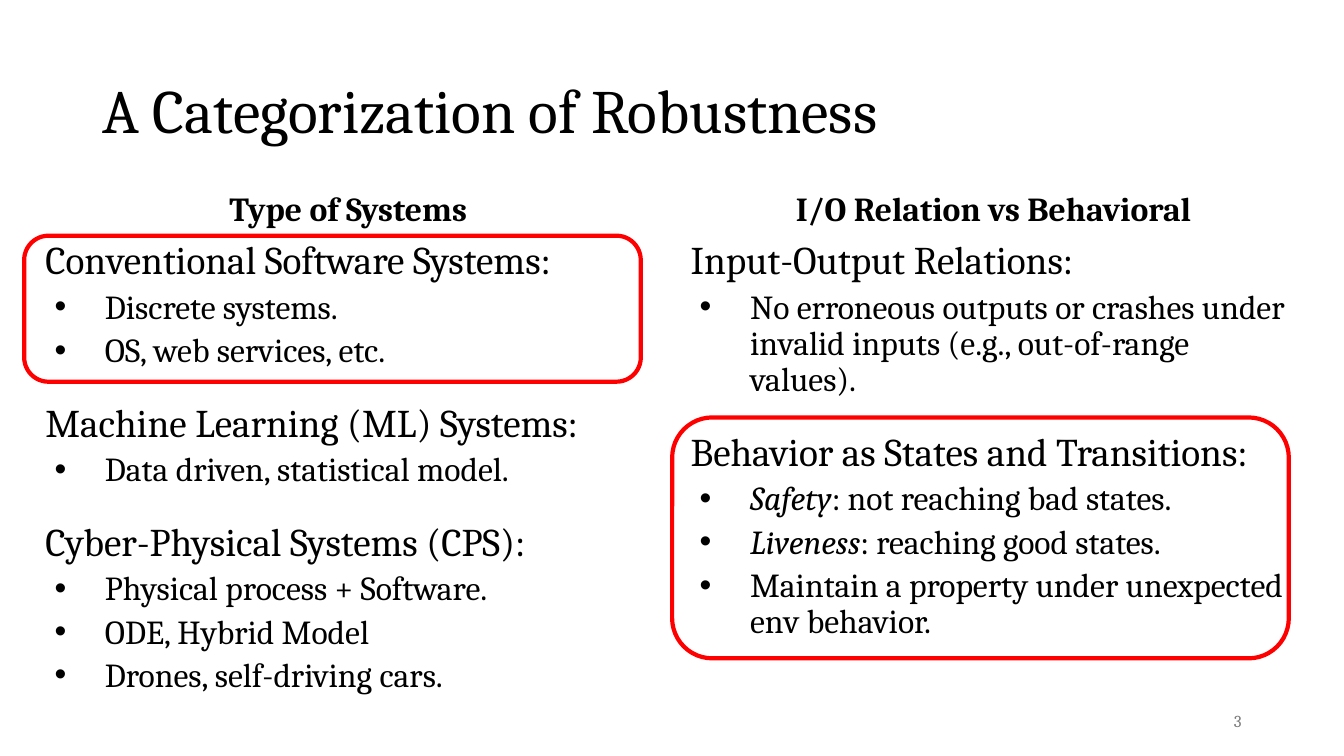
from pptx import Presentation
from pptx.dml.color import RGBColor as RGB
from pptx.enum.shapes import MSO_SHAPE as Shape
from pptx.enum.text import MSO_ANCHOR as Anchor, MSO_AUTO_SIZE as AutoSize, PP_ALIGN as Align
from pptx.oxml.ns import qn
from pptx.util import Cm, Pt
from lxml.etree import SubElement

COLORS = {"text": "000000", "number": "797979", "frame": "FF0000"}
FONT = "Cambria"

SYSTEMS = [
    ("Conventional Software Systems:", ["Discrete systems.", "OS, web services, etc."]),
    ("Machine Learning (ML) Systems:", ["Data driven, statistical model."]),
    ("Cyber-Physical Systems (CPS):",
     ["Physical process + Software.", "ODE, Hybrid Model", "Drones, self-driving cars."]),
]
# Words between asterisks are italic
RELATIONS = [
    ("Input-Output Relations:",
     ["No erroneous outputs or crashes under invalid inputs (e.g., out-of-range values)."]),
    ("Behavior as States and Transitions:",
     ["*Safety*: not reaching bad states.", "*Liveness*: reaching good states.",
      "Maintain a property under unexpected env behavior."]),
]


class SlideBuilder:
    def __init__(self, prs, layout):
        self.slide = prs.slides.add_slide(prs.slide_layouts[layout])

    def place(self, sp, box, anchor):
        sp.left, sp.top, sp.width, sp.height = (Cm(v) for v in box)
        tf = sp.text_frame
        tf.word_wrap = True
        tf.auto_size = AutoSize.NONE
        tf.vertical_anchor = anchor
        return tf

    def style(self, p, size, color="text", bold=False, align=Align.LEFT, spacing=0.9):
        p.alignment = align
        p.line_spacing = spacing
        for r in p.runs:
            r.font.name = FONT
            r.font.size = Pt(size)
            r.font.bold = bold
            r.font.color.rgb = RGB.from_string(COLORS[color])

    def line(self, idx, text, box, size, **style):
        """Fill a placeholder with a single line."""
        tf = self.place(self.slide.placeholders[idx], box, Anchor.MIDDLE)
        tf.text = text
        p = tf.paragraphs[0]
        p.space_before = Pt(0)
        self.style(p, size, **style)

    def outline(self, idx, groups, box):
        """Fill a placeholder with headings and their bullets."""
        tf = self.place(self.slide.placeholders[idx], box, Anchor.TOP)
        rows = [row for head, items in groups
                for row in [(head, 0)] + [(item, 1) for item in items]]
        for i, (text, level) in enumerate(rows):
            p = tf.paragraphs[0] if i == 0 else tf.add_paragraph()
            p.level = level
            pPr = p._p.get_or_add_pPr()
            pPr.set("marL", str(Cm(1.5) * level))
            pPr.set("indent", str(Cm(-1.27) * level))
            if level:
                SubElement(pPr, qn("a:buFont"), typeface="Arial")
                SubElement(pPr, qn("a:buChar"), char="•")
            else:
                SubElement(pPr, qn("a:buNone"))
            for n, part in enumerate(text.split("*")):
                if part:
                    r = p.add_run()
                    r.text = part
                    r.font.italic = n % 2 == 1
            p.space_before = Pt(0 if i == 0 else 5 if level else 24)
            self.style(p, 24 if level else 28)

    def number(self, text, box):
        sp = self.slide.shapes.add_textbox(0, 0, 0, 0)
        tf = self.place(sp, box, Anchor.MIDDLE)
        tf.text = text
        self.style(tf.paragraphs[0], 12, "number", align=Align.RIGHT, spacing=1.0)

    def frame(self, box):
        sp = self.slide.shapes.add_shape(Shape.ROUNDED_RECTANGLE, *(Cm(v) for v in box))
        sp.shadow.inherit = False
        sp.fill.background()
        sp.line.color.rgb = RGB.from_string(COLORS["frame"])
        sp.line.width = Pt(3)


def main():
    prs = Presentation()
    prs.slide_width, prs.slide_height = Cm(33.87), Cm(19.05)
    s = SlideBuilder(prs, layout=4)

    # Title
    s.line(0, "A Categorization of Robustness", (2.33, 1.01, 29.21, 3.68), 44)

    # Two columns: centred heading above an outline
    columns = [
        (1, 0.89, "Type of Systems", SYSTEMS, 12.73),
        (3, 17.15, "I/O Relation vs Behavioral", RELATIONS, 11.25),
    ]
    for idx, left, heading, groups, height in columns:
        s.line(idx, heading, (left, 4.67, 15.77, 1.27), 24, bold=True, align=Align.CENTER)
        s.outline(idx + 1, groups, (left, 5.94, 15.8, height))

    # Slide number
    s.number("3", (23.92, 17.66, 7.62, 1.01))

    # Frames around the categories in focus
    s.frame((16.94, 10.52, 15.54, 6.07))
    s.frame((0.61, 5.94, 15.54, 3.68))

    prs.save("out.pptx")


if __name__ == "__main__":
    main()
